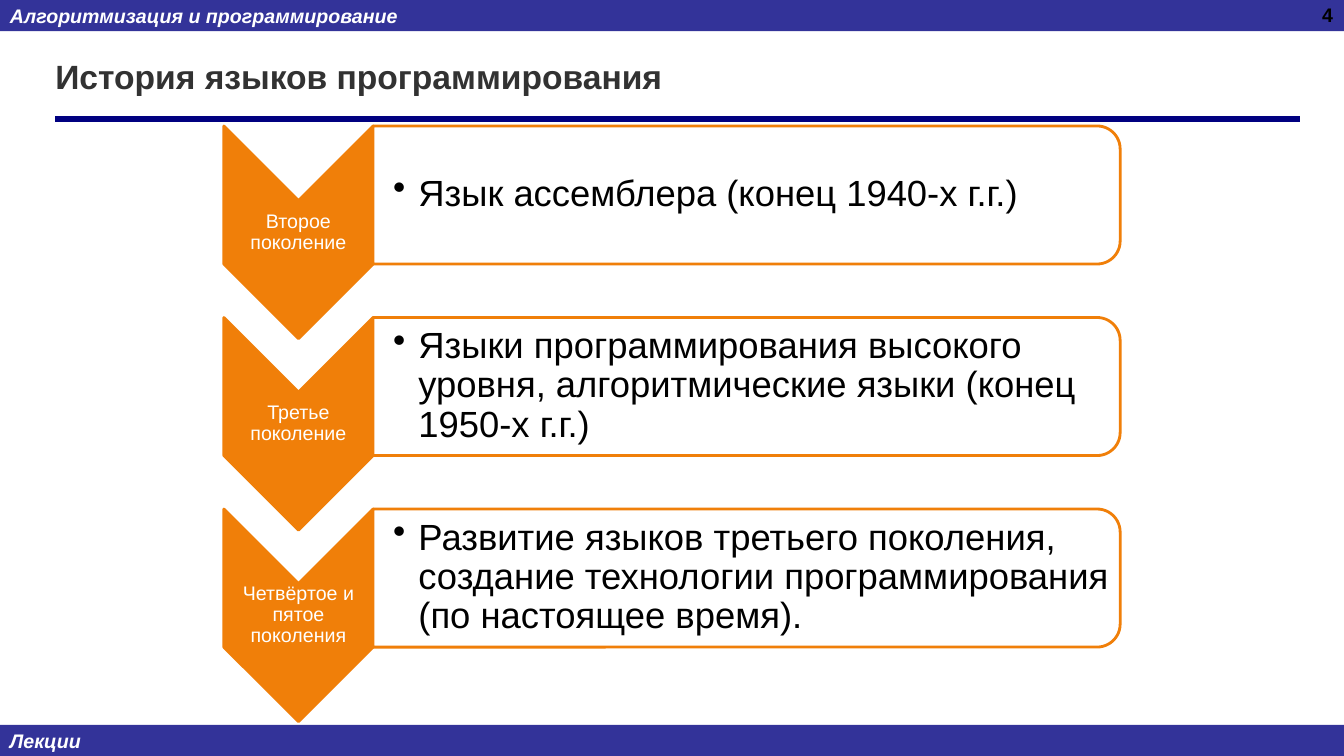
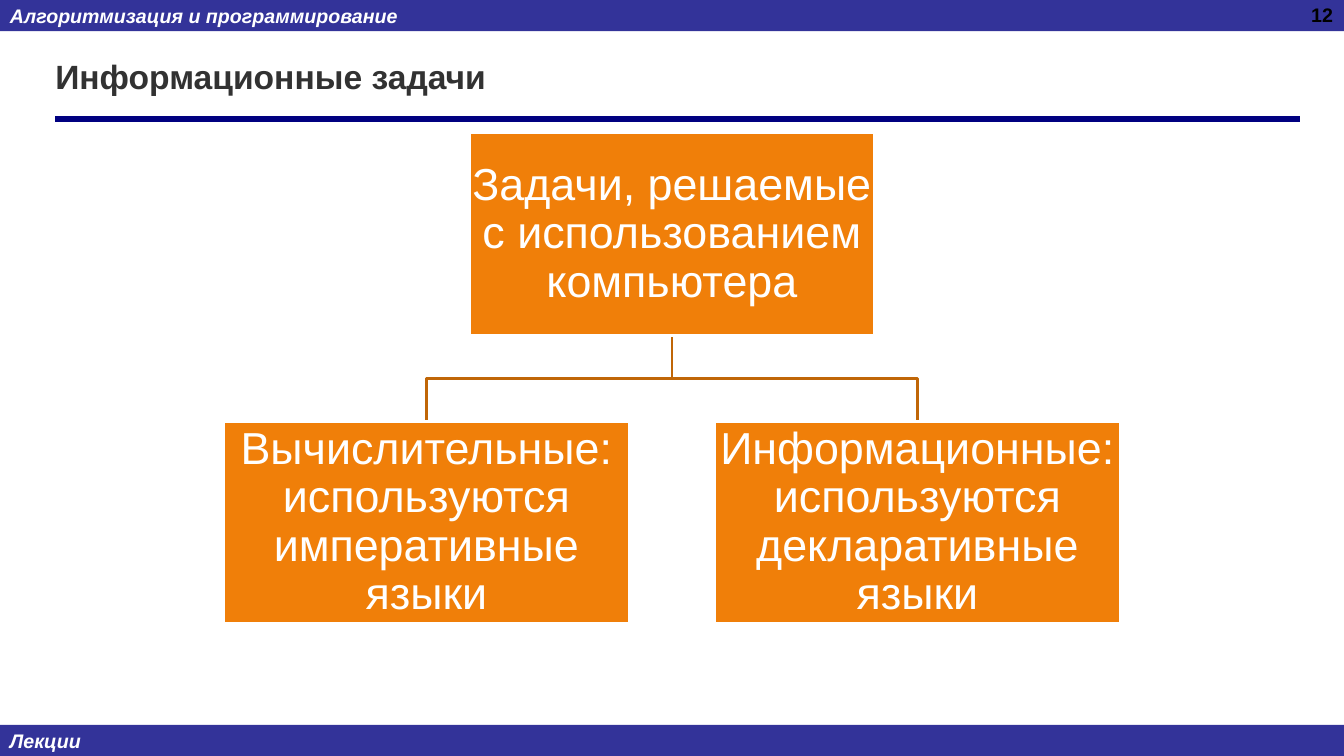
from lxml import etree
from pptx import Presentation
from pptx.dml.color import RGBColor
from pptx.enum.shapes import MSO_CONNECTOR, MSO_SHAPE
from pptx.enum.text import MSO_ANCHOR, PP_ALIGN
from pptx.oxml.ns import qn
from pptx.util import Inches, Pt

RECT = MSO_SHAPE.RECTANGLE
CHEVRON = MSO_SHAPE.CHEVRON
ROUND_SIDE = MSO_SHAPE.ROUND_2_SAME_RECTANGLE
STRAIGHT = MSO_CONNECTOR.STRAIGHT
TOP, MIDDLE = MSO_ANCHOR.TOP, MSO_ANCHOR.MIDDLE
LEFT, CENTER, RIGHT = PP_ALIGN.LEFT, PP_ALIGN.CENTER, PP_ALIGN.RIGHT

BAND = RGBColor(0x33, 0x33, 0x99)
RULE = RGBColor(0x00, 0x00, 0x80)
TITLE = RGBColor(0x32, 0x32, 0x32)
ORANGE = RGBColor(0xF0, 0x7F, 0x09)
BRANCH = RGBColor(0xC0, 0x66, 0x07)
WHITE = RGBColor(0xFF, 0xFF, 0xFF)
BLACK = RGBColor(0x00, 0x00, 0x00)

FONT = "Arial"
SLIDE_W, SLIDE_H = 13.33, 7.5
BAND_H = 0.31
DEFAULT_INSETS = (0.1, 0.05, 0.1, 0.05)

COURSE = "Алгоритмизация и программирование"
FOOTER = "Лекции"

HISTORY_TITLE, HISTORY_NUMBER = "История языков программирования", "4"
GENERATIONS = [
    ("Второе поколение", "Язык ассемблера (конец 1940-х г.г.)"),
    ("Третье поколение",
     "Языки программирования высокого уровня, алгоритмические языки (конец 1950-х г.г.)"),
    ("Четвёртое и пятое поколения",
     "Развитие языков третьего поколения, создание технологии программирования "
     "(по настоящее время)."),
]

TASKS_TITLE, TASKS_NUMBER = "Информационные задачи", "12"
ALL_TASKS = "Задачи, решаемые с использованием компьютера"
TASK_KINDS = [
    "Вычислительные: используются императивные языки",
    "Информационные: используются декларативные языки",
]


def write(shape, text, size, color, align=LEFT, anchor=MIDDLE, insets=DEFAULT_INSETS,
          bold=False, italic=False, spacing=None, bullet_indent=None):
    frame = shape.text_frame
    frame.word_wrap = True
    frame.vertical_anchor = anchor
    (frame.margin_left, frame.margin_top,
     frame.margin_right, frame.margin_bottom) = map(Inches, insets)
    paragraph = frame.paragraphs[0]
    paragraph.alignment = align
    if spacing:
        paragraph.line_spacing = spacing
    if bullet_indent:
        properties = paragraph._p.get_or_add_pPr()
        properties.set("marL", str(Inches(bullet_indent)))
        properties.set("indent", str(-Inches(bullet_indent)))
        etree.SubElement(properties, qn("a:buChar")).set("char", "•")
    run = paragraph.add_run()
    run.text = text
    font = run.font
    font.name, font.size, font.bold, font.italic = FONT, Pt(size), bold, italic
    font.color.rgb = color


def add_text(slide, box, text, size, color, **style):
    write(slide.shapes.add_textbox(*map(Inches, box)), text, size, color, **style)


def add_block(slide, kind, box, fill, line=None):
    block = slide.shapes.add_shape(kind, *map(Inches, box))
    block.shadow.inherit = False
    block.fill.solid()
    block.fill.fore_color.rgb = fill
    if line is None:
        block.line.fill.background()
    else:
        block.line.color.rgb = line
        block.line.width = Pt(2)
    return block


def add_turned_block(slide, kind, box, fill, line):
    left, top, width, height = box
    shift = (width - height) / 2
    block = add_block(slide, kind, (left + shift, top - shift, height, width), fill, line)
    block.rotation = 90


def add_framed_slide(deck, title, number):
    slide = deck.slides.add_slide(deck.slide_layouts[6])
    for top, label in ((0, COURSE), (SLIDE_H - BAND_H, FOOTER)):
        band = add_block(slide, RECT, (0, top, SLIDE_W, BAND_H), BAND)
        write(band, label, 14, WHITE, bold=True, italic=True)
    rule = slide.shapes.add_connector(
        STRAIGHT, *map(Inches, (0.55, 1.18, 12.89, 1.18)))
    rule.line.color.rgb = RULE
    rule.line.width = Pt(4.5)
    etree.SubElement(rule._element.spPr, qn("a:effectLst"))
    add_text(slide, (0.45, 0.33, 12.21, 0.85), title, 24, TITLE, bold=True)
    add_text(slide, (10.21, -0.02, 3.11, 0.52), number, 14, BLACK,
             align=RIGHT, anchor=TOP, bold=True)
    return slide


def build_history(deck):
    slide = add_framed_slide(deck, HISTORY_TITLE, HISTORY_NUMBER)
    left, first_top, pitch = 2.22, 1.25, 1.9
    arrow_w, arrow_h = 1.48, 2.11
    panel_w, panel_h = 7.41, 1.37
    panel_left = left + arrow_w
    for row, (generation, languages) in enumerate(GENERATIONS):
        top = first_top + row * pitch
        add_turned_block(slide, CHEVRON, (left, top, arrow_w, arrow_h), ORANGE, ORANGE)
        add_text(slide, (left, top + arrow_w / 2, arrow_w, arrow_h - arrow_w),
                 generation, 14, WHITE, align=CENTER, insets=(0.01,) * 4, spacing=0.9)
        add_turned_block(slide, ROUND_SIDE, (panel_left, top, panel_w, panel_h),
                         WHITE, ORANGE)
        add_text(slide, (panel_left, top + 0.06, panel_w - 0.07, panel_h - 0.13),
                 languages, 26, BLACK, insets=(0.2, 0.02, 0.02, 0.02),
                 spacing=0.9, bullet_indent=0.25)


def add_branch(slide, start, end):
    (start_x, start_y), (end_x, end_y) = start, end
    turn_y = (start_y + end_y) / 2
    builder = slide.shapes.build_freeform(Inches(start_x), Inches(start_y))
    builder.add_line_segments(
        [(Inches(x), Inches(y))
         for x, y in ((start_x, turn_y), (end_x, turn_y), (end_x, end_y))],
        close=False)
    branch = builder.convert_to_shape()
    branch.shadow.inherit = False
    branch.fill.background()
    branch.line.color.rgb = BRANCH
    branch.line.width = Pt(2)


def build_tasks(deck):
    slide = add_framed_slide(deck, TASKS_TITLE, TASKS_NUMBER)
    box_w, box_h, gap = 4.02, 2.01, 0.85
    center, root_top = SLIDE_W / 2, 1.32
    root_bottom = root_top + box_h
    kinds_top = root_bottom + gap
    middle = (len(TASK_KINDS) - 1) / 2
    kinds = [(center + (column - middle) * (box_w + gap), kinds_top, text)
             for column, text in enumerate(TASK_KINDS)]
    for x, top, _ in kinds:
        add_branch(slide, (center, root_bottom), (x, top))
    for x, top, text in [(center, root_top, ALL_TASKS)] + kinds:
        box = add_block(slide, RECT, (x - box_w / 2, top, box_w, box_h), ORANGE, WHITE)
        write(box, text, 32, WHITE, align=CENTER, insets=(0.02,) * 4, spacing=0.9)


def main():
    deck = Presentation()
    deck.slide_width, deck.slide_height = Inches(SLIDE_W), Inches(SLIDE_H)
    build_history(deck)
    build_tasks(deck)
    deck.save("out.pptx")


if __name__ == "__main__":
    main()
